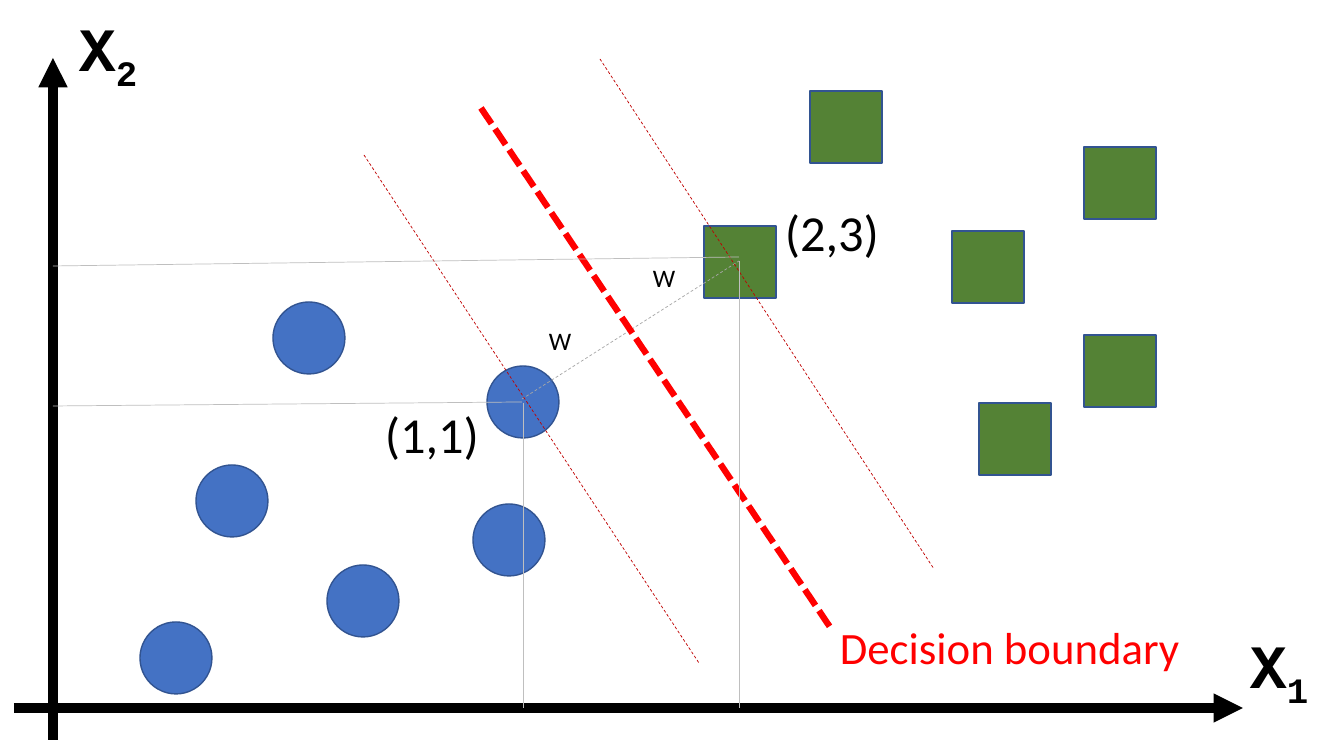
from lxml import etree
from pptx import Presentation
from pptx.dml.color import RGBColor
from pptx.enum.dml import MSO_LINE
from pptx.enum.shapes import MSO_CONNECTOR, MSO_SHAPE
from pptx.enum.text import MSO_AUTO_SIZE
from pptx.oxml.ns import qn
from pptx.util import Emu, Pt

STRAIGHT = MSO_CONNECTOR.STRAIGHT
OVAL = MSO_SHAPE.OVAL
RECTANGLE = MSO_SHAPE.RECTANGLE
DASH = MSO_LINE.DASH
SHORT_DASH = MSO_LINE.SQUARE_DOT
FIT_SHAPE = MSO_AUTO_SIZE.SHAPE_TO_FIT_TEXT

EMU_PER_PX = 12192000 / 1344
MARKER_SIZE = 72
AXIS_X, AXIS_Y = 53, 708
COLORS = {
    "circle": "4472C4",
    "square": "548235",
    "outline": "325491",
    "black": "000000",
    "boundary": "FF0000",
    "margin": "C00000",
    "distance": "A6A6A6",
    "guide": "BFBFBF",
}
CIRCLES = [(487, 366), (473, 504), (273, 302), (196, 465), (327, 565), (140, 622)]
SQUARES = [(810, 91), (952, 231), (1084, 335), (1084, 147), (704, 226), (979, 403)]
MARGINS = [((364, 155), (699, 663)), ((600, 59), (934, 569))]
GUIDES = [
    ((522, 402), (AXIS_X, 406)),
    ((523, 403), (523, AXIS_Y)),
    ((739, 261), (739, AXIS_Y)),
    ((739, 257), (AXIS_X, 266)),
]


def px(length):
    return Emu(round(length * EMU_PER_PX))


def color(name):
    return RGBColor.from_string(COLORS[name])


def add_marker(page, kind, position, fill):
    left, top = position
    marker = page.shapes.add_shape(
        kind, px(left), px(top), px(MARKER_SIZE), px(MARKER_SIZE)
    )
    marker.shadow.inherit = False
    marker.fill.solid()
    marker.fill.fore_color.rgb = color(fill)
    marker.line.color.rgb = color("outline")
    marker.line.width = Pt(1)


def add_line(page, start, end, stroke, width=0.5, dash=None, arrow=False):
    line = page.shapes.add_connector(STRAIGHT, *map(px, start + end))
    line.line.color.rgb = color(stroke)
    line.line.width = Pt(width)
    if dash:
        line.line.dash_style = dash
    properties = line._element.spPr
    if arrow:
        outline = properties.find(qn("a:ln"))
        etree.SubElement(outline, qn("a:tailEnd"), type="triangle")
    etree.SubElement(properties, qn("a:effectLst"))


def add_label(page, text, frame, size, font="Calibri", fill="black",
              bold=False, subscript="", wrap=True):
    box = page.shapes.add_textbox(*map(px, frame))
    box.text_frame.word_wrap = wrap
    box.text_frame.auto_size = FIT_SHAPE
    para = box.text_frame.paragraphs[0]
    for part in filter(None, (text, subscript)):
        span = para.add_run()
        span.text = part
        span.font.name = font
        span.font.size = Pt(size)
        span.font.bold = bold
        span.font.color.rgb = color(fill)
    if subscript:
        span.font._element.set("baseline", "-25000")


def add_axes(page):
    for start, end in (((14, AXIS_Y), (1243, AXIS_Y)), ((AXIS_X, 740), (AXIS_X, 58))):
        add_line(page, start, end, "black", width=7, arrow=True)
    for number, left, top in (("1", 1240, 622), ("2", 69, 5)):
        add_label(page, "X", (left, top, 83, 86), 44, font="Courier New",
                  bold=True, subscript=number)


def main():
    deck = Presentation()
    deck.slide_width, deck.slide_height = px(1344), px(756)
    page = deck.slides.add_slide(deck.slide_layouts[6])

    for position in CIRCLES:
        add_marker(page, OVAL, position, "circle")
    for position in SQUARES:
        add_marker(page, RECTANGLE, position, "square")
    add_axes(page)

    add_line(page, (522, 399), (739, 261), "distance", dash=DASH)
    add_line(page, (481, 108), (830, 627), "boundary", width=4.5, dash=SHORT_DASH)
    add_label(page, "Decision boundary", (830, 615, 391, 65), 32, fill="boundary")
    for start, end in MARGINS:
        add_line(page, start, end, "margin", dash=DASH)

    for left, top in ((539, 320), (643, 257)):
        add_label(page, "W", (left, top, 43, 40), 18, wrap=False)
    for text, left, top in (("(1,1)", 375, 398), ("(2,3)", 775, 196)):
        add_label(page, text, (left, top, 120, 72), 36)
    for start, end in GUIDES:
        add_line(page, start, end, "guide")

    deck.save("out.pptx")


if __name__ == "__main__":
    main()
